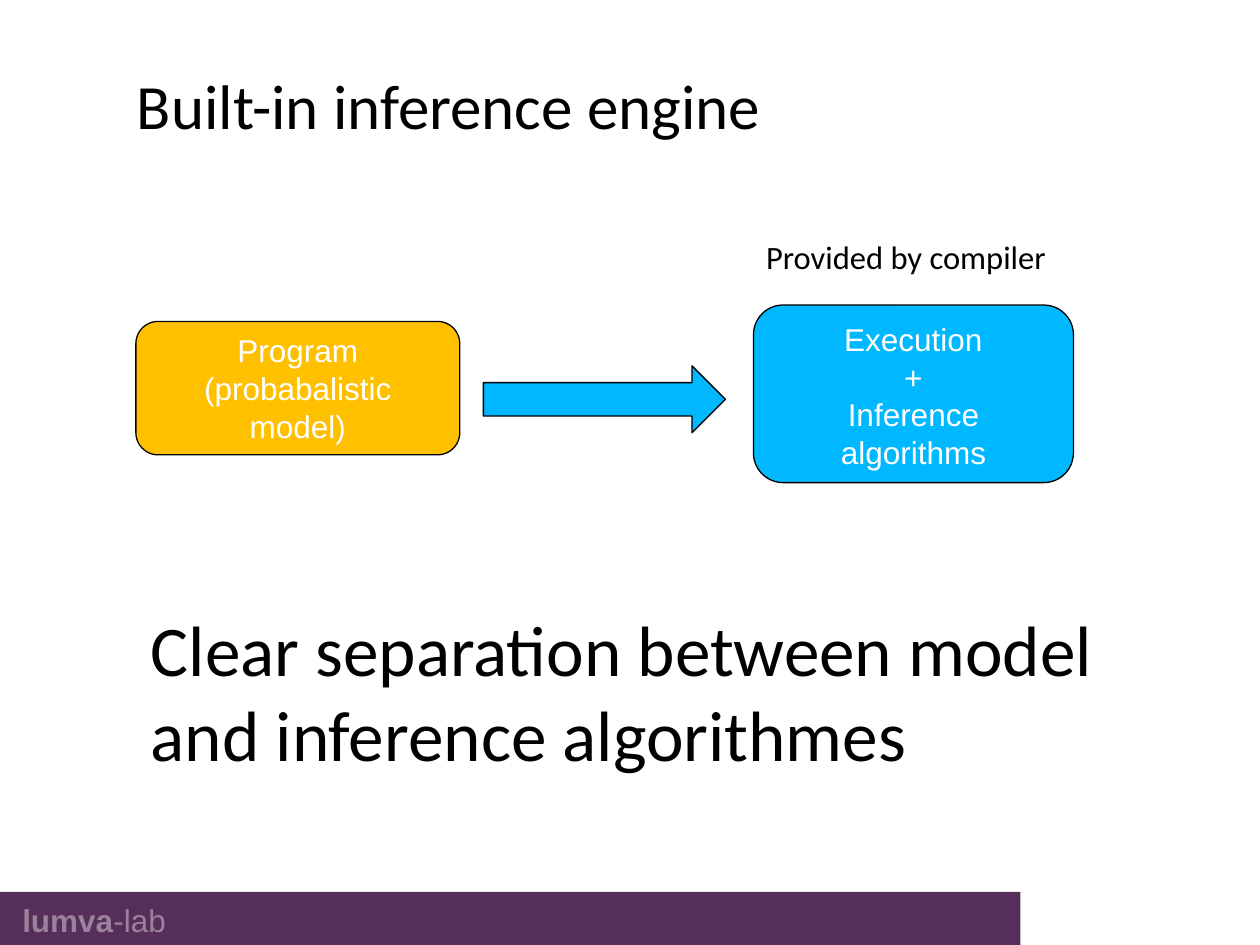
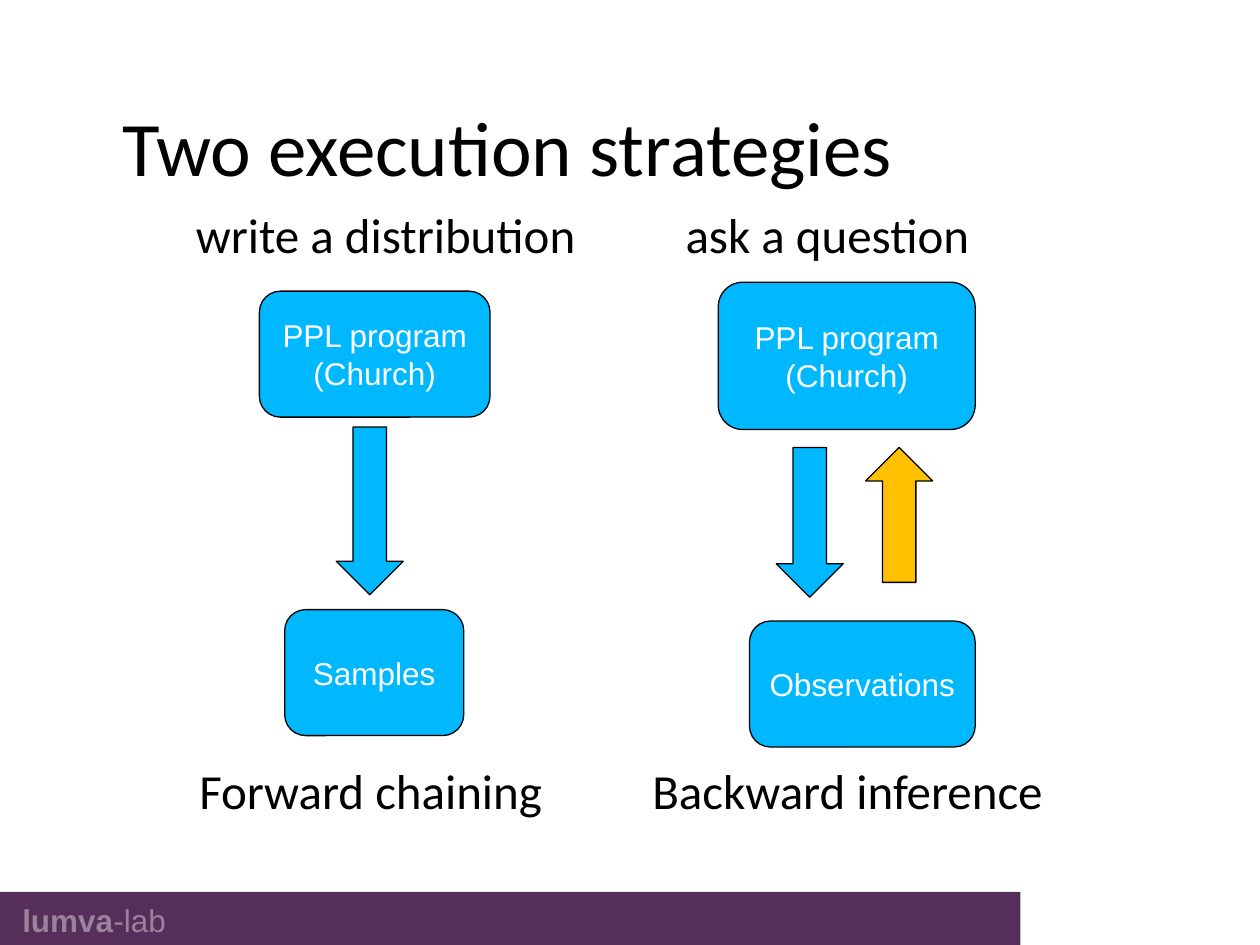
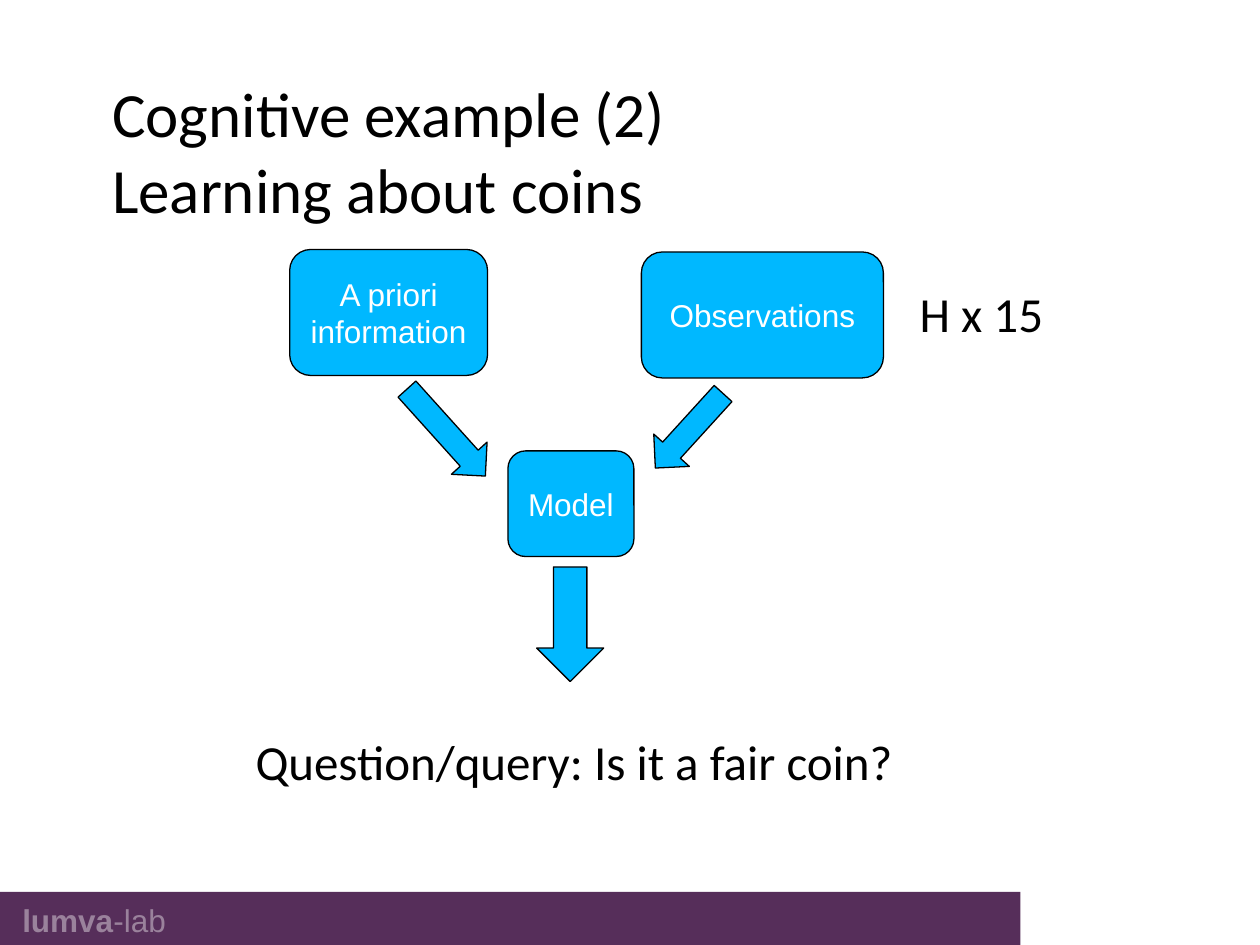
from dataclasses import dataclass

from pptx import Presentation
from pptx.dml.color import RGBColor
from pptx.enum.shapes import MSO_SHAPE
from pptx.enum.text import MSO_ANCHOR, MSO_AUTO_SIZE, PP_ALIGN
from pptx.util import Cm, Pt


@dataclass(frozen=True)
class Theme:
    """Colours, fonts and type sizes of the deck."""
    ink: str = "000000"
    paper: str = "FFFFFF"
    sky: str = "00B8FF"
    amber: str = "FFC000"
    band: str = "562E5A"
    band_text: str = "9A829C"
    text_font: str = "Calibri"
    box_font: str = "Arial"
    title: float = 36
    large_title: float = 44
    statement: float = 40.7
    label: float = 28
    note: float = 18.6
    box: float = 18
    outline: float = 0.75


THEME = Theme()
ARROW_WIDTH = 1.35
SLIM_ARROW_WIDTH = 0.97


class Deck:
    """Holds the style and the slide being built; lengths are in centimetres."""

    def __init__(self, theme):
        self.theme = theme
        self.presentation = Presentation()
        self.presentation.slide_width = Cm(25.4)
        self.presentation.slide_height = Cm(19.05)
        self.slide = None

    def start(self, title, at, size):
        layout = self.presentation.slide_layouts[5]  # title only
        self.slide = self.presentation.slides.add_slide(layout)
        heading = self.slide.shapes.title
        heading.left, heading.top, heading.width, heading.height = map(Cm, at)
        self.set_text(heading, title, size=size, inset=0)

    def set_text(self, shape, text, size, font=None, color=None,
                 align=PP_ALIGN.LEFT, anchor=MSO_ANCHOR.MIDDLE, inset=None):
        """Fill a shape with text, one paragraph per line."""
        frame = shape.text_frame
        frame_format = {"word_wrap": True, "auto_size": MSO_AUTO_SIZE.NONE,
                        "vertical_anchor": anchor}
        if inset is not None:
            for side in ("left", "top", "right", "bottom"):
                frame_format["margin_" + side] = Cm(inset)
        for name, value in frame_format.items():
            setattr(frame, name, value)
        frame.text = text
        font_format = {"name": font or self.theme.text_font, "size": Pt(size)}
        for paragraph in frame.paragraphs:
            paragraph.alignment = align
            for run in paragraph.runs:
                for name, value in font_format.items():
                    setattr(run.font, name, value)
                run.font.color.rgb = RGBColor.from_string(color or self.theme.ink)

    def text(self, text, at, size, **style):
        area = self.slide.shapes.add_textbox(*map(Cm, at))
        self.set_text(area, text, size, **style)
        return area

    def shape(self, preset, at, fill, outlined=True):
        figure = self.slide.shapes.add_shape(preset, *map(Cm, at))
        figure.shadow.inherit = False
        figure.fill.solid()
        figure.fill.fore_color.rgb = RGBColor.from_string(fill)
        if outlined:
            figure.line.color.rgb = RGBColor.from_string(self.theme.ink)
            figure.line.width = Pt(self.theme.outline)
        else:
            figure.line.fill.background()
        return figure

    def box(self, text, at, fill=None, anchor=MSO_ANCHOR.MIDDLE):
        figure = self.shape(MSO_SHAPE.ROUNDED_RECTANGLE, at, fill or self.theme.sky)
        self.set_text(figure, text, self.theme.box, font=self.theme.box_font,
                      color=self.theme.paper, align=PP_ALIGN.CENTER, anchor=anchor)

    def arrow(self, left, top, length, width=ARROW_WIDTH, turn=0, fill=None):
        """A down arrow, turned clockwise about its centre."""
        figure = self.shape(MSO_SHAPE.DOWN_ARROW, (left, top, width, length),
                            fill or self.theme.sky)
        figure.rotation = turn

    def footer(self):
        """Draw the band and lab name, then move them to the master."""
        theme = self.theme
        band = self.shape(MSO_SHAPE.RECTANGLE, (0, 17.98, 20.57, 1.09),
                          theme.band, outlined=False)
        lab = self.text("lumva", (0.2, 18.03, 5.38, 1.02), theme.box,
                        font=theme.box_font, color=theme.band_text)
        paragraph = lab.text_frame.paragraphs[0]
        paragraph.runs[0].font.bold = True
        suffix = paragraph.add_run()
        suffix.text = "-lab"
        for name, value in {"name": theme.box_font, "size": Pt(theme.box),
                            "bold": False}.items():
            setattr(suffix.font, name, value)
        suffix.font.color.rgb = RGBColor.from_string(theme.band_text)
        for part in (band, lab):
            self.presentation.slide_master.shapes.element.append(part.element)


deck = Deck(THEME)

# Slide 1: program to inference engine
deck.start("Built-in inference engine", (2.76, 1.31, 21.5, 1.57), THEME.title)
deck.footer()
deck.text("Clear separation between model and inference algorithmes",
          (2.79, 12.07, 20.83, 4.65), THEME.statement, anchor=MSO_ANCHOR.TOP)
deck.box("Program\n(probabalistic model)", (2.74, 6.48, 6.53, 2.69), THEME.amber)
deck.box("Execution\n+\nInference algorithms", (15.19, 6.15, 6.45, 3.58),
         anchor=MSO_ANCHOR.TOP)
deck.arrow(11.51, 5.61, 4.88, turn=270)
deck.text("Provided by compiler", (14.99, 4.43, 6.55, 1.47), THEME.note,
          align=PP_ALIGN.CENTER)

# Slide 2: forward and backward columns
deck.start("Two execution strategies", (2.46, 1.65, 22.2, 2.59), THEME.large_title)
for label, left, top, height in (
        ("write a distribution", 3.95, 3.86, 1.7),
        ("ask a question", 13.82, 3.86, 1.7),
        ("Forward chaining", 4.02, 14.76, 2.34),
        ("Backward inference", 13.15, 14.76, 2.34)):
    deck.text(label, (left, top, 9, height), THEME.label, inset=0)
for content, at in (
        ("PPL program\n(Church)", (5.23, 5.87, 4.65, 2.54)),
        ("Samples", (5.74, 12.29, 3.61, 2.54)),
        ("PPL program\n(Church)", (14.48, 5.69, 5.18, 2.97)),
        ("Observations", (15.11, 12.52, 4.55, 2.54))):
    deck.box(content, at)
deck.arrow(6.78, 8.61, 3.38)
deck.arrow(15.65, 9.02, 3.02)
deck.arrow(17.45, 9.02, 2.72, turn=180, fill=THEME.amber)

# Slide 3: prior and observations feed the model
deck.start("Cognitive example (2)\nLearning about coins",
           (2.26, 1.02, 22.86, 4.01), THEME.title)
for content, at in (
        ("Model", (10.24, 9.09, 2.54, 2.13)),
        ("A priori information", (5.84, 5.03, 3.99, 2.54)),
        ("Observations", (12.93, 5.08, 4.88, 2.54))):
    deck.box(content, at)
deck.arrow(10.82, 11.43, 2.31)
deck.arrow(8.51, 7.54, 2.36, width=SLIM_ARROW_WIDTH, turn=318)
deck.arrow(13.41, 7.67, 2.03, width=SLIM_ARROW_WIDTH, turn=42.3)
deck.text("Question/query: Is it a fair coin?", (0.14, 13.74, 22.86, 3.18),
          THEME.label, align=PP_ALIGN.CENTER, inset=0)
deck.text("H x 15", (18.54, 3.99, 6.55, 4.62), THEME.label, inset=0)

deck.presentation.save("out.pptx")
